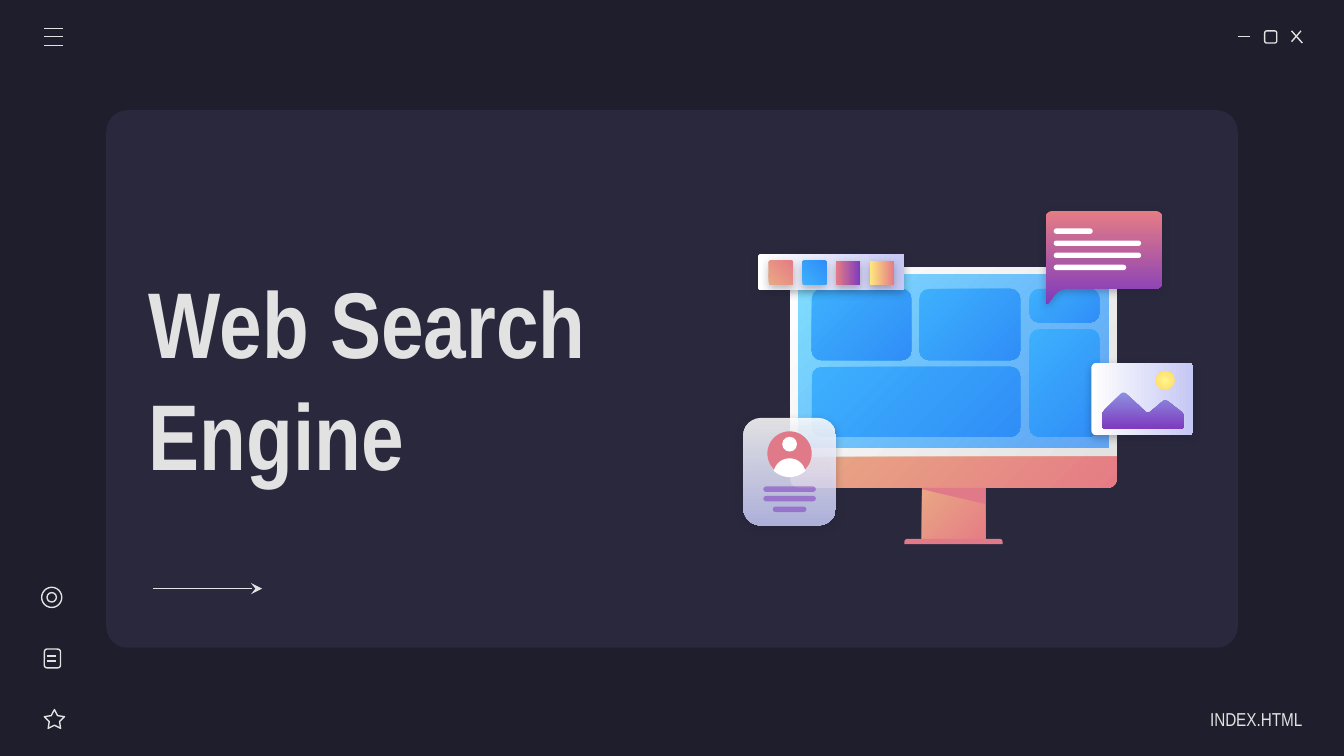
import math
from lxml import etree
from pptx import Presentation
from pptx import util as u
from pptx.dml.color import RGBColor
from pptx.enum import shapes, text
from pptx.oxml import ns


class Theme:
    font = "Arial Narrow"
    title, caption, stroke = 50, 10, 0.75
    back, panel, light = "1E1E2C", "29283D", "E2E2E2"
    white, rose, purple = "FFFFFF", "E07A88", "7E3BBE"
    peach = ("E9A984", "E57C85")
    blue = ("3DB0FD", "308EF7")
    screen = ("80DFFF", "318FFA")
    frame = ("FFFFFF", "E2E2E2")
    berry = ("E57C85", "7E3BBE")
    lilac = ("FFFFFF", "C5C7F4")
    hill = ("8D90E1", "7E3BBE")
    sunny = ("FFEA7D", "E57C85")
    sun = ("FFF68E", "FFD966")


prs = Presentation()
prs.slide_width = u.Inches(10)
prs.slide_height = prs.slide_width * 9 // 16
s = prs.slides.add_slide(prs.slide_layouts[6])
s.background.fill.solid()
s.background.fill.fore_color.rgb = RGBColor.from_string(Theme.back)
kind = shapes.MSO_SHAPE
ROUND, TOP, OVAL, RECT = kind.ROUNDED_RECTANGLE, kind.ROUND_2_SAME_RECTANGLE, kind.OVAL, kind.RECTANGLE


def paint(sp, fill, angle=0, alphas=(), shadow=False):
    sp.line.fill.background()
    sp.shadow.inherit = False
    if isinstance(fill, tuple):
        sp.fill.gradient()
        sp.fill.gradient_angle = -angle % 360
        for stop, color in zip(sp.fill.gradient_stops, fill):
            stop.color.rgb = RGBColor.from_string(color)
    else:
        sp.fill.solid()
        sp.fill.fore_color.rgb = RGBColor.from_string(fill)
    spPr = sp._element.spPr
    for color, alpha in zip(spPr.findall(".//" + ns.qn("a:srgbClr")), alphas):
        etree.SubElement(color, ns.qn("a:alpha"), val=str(alpha * 1000))
    if shadow:
        outer = etree.SubElement(spPr.find(ns.qn("a:effectLst")), ns.qn("a:outerShdw"), blurRad="57150",
                                 dist="19050", dir="5400000", algn="bl", rotWithShape="0")
        color = etree.SubElement(outer, ns.qn("a:srgbClr"), val=Theme.back)
        etree.SubElement(color, ns.qn("a:alpha"), val="30000")
    return sp


def outline(points, radius=0):
    path = []
    for i, (x, y) in enumerate(points):
        ends = []
        for px, py in (points[i - 1], points[(i + 1) % len(points)]):
            d = math.dist((x, y), (px, py))
            k = min(radius, d / 2) / d
            ends.append((x + (px - x) * k, y + (py - y) * k))
        (ax, ay), (bx, by) = ends
        for t in [n / 8 for n in range(9)] if radius else [0]:
            path.append((u.Inches((1 - t) ** 2 * ax + 2 * t * (1 - t) * x + t * t * bx),
                         u.Inches((1 - t) ** 2 * ay + 2 * t * (1 - t) * y + t * t * by)))
    fb = s.shapes.build_freeform(*path[0])
    fb.add_line_segments(path[1:])
    return fb.convert_to_shape()


monitor = [
    (ROUND, (0.79, 0.82, 8.42, 4), 0.16, Theme.panel, ()),
    (RECT, (6.86, 3.61, 0.47, 0.43), 0, Theme.peach, ()),
    (TOP, (6.73, 4.01, 0.73, 0.04), 0.02, Theme.rose, ()),
    (TOP, (5.88, 1.99, 2.43, 1.41), 0.06, Theme.frame, ()),
    (RECT, (5.94, 2.04, 2.31, 1.29), 0, Theme.screen, (100, 72)),
]
tiles = [(6.04, 2.15, 0.74, 0.53), (6.84, 2.15, 0.75, 0.53), (6.04, 2.73, 1.55, 0.52),
         (7.66, 2.15, 0.52, 0.25), (7.66, 2.45, 0.52, 0.8)]
monitor += [(ROUND, box, 0.07, Theme.blue, ()) for box in tiles]
for shape, box, radius, fill, alphas in monitor:
    sp = s.shapes.add_shape(shape, *map(u.Inches, box))
    if radius:
        sp.adjustments[0] = radius / min(box[2:])
    paint(sp, fill, 45, alphas)

sp = s.shapes.add_shape(TOP, *map(u.Inches, (5.88, 3.4, 2.43, 0.23)))
sp.adjustments[0], sp.adjustments[1] = 0, 0.28
paint(sp, Theme.peach, 45)
paint(outline([(6.86, 3.63), (6.86, 3.64), (7.33, 3.75), (7.33, 3.63)]), Theme.rose)

bubble = [(7.78, 1.57), (8.65, 1.57), (8.65, 2.15), (7.88, 2.15), (7.79, 2.27), (7.78, 2.26)]
paint(outline(bubble, 0.06), Theme.berry, 90, shadow=True)
for i, width in enumerate((0.29, 0.65, 0.65, 0.54)):
    sp = s.shapes.add_shape(ROUND, *map(u.Inches, (7.84, 1.7 + i * 0.09, width, 0.04)))
    sp.adjustments[0] = 0.5
    paint(sp, Theme.white)

sp = s.shapes.add_shape(ROUND, *map(u.Inches, (5.53, 3.11, 0.69, 0.8)))
sp.adjustments[0] = 0.19
paint(sp, Theme.lilac, 90, (86, 86), True)
for box, fill in (((5.71, 3.21, 0.33, 0.33), Theme.rose), ((5.82, 3.25, 0.11, 0.11), Theme.white)):
    paint(s.shapes.add_shape(OVAL, *map(u.Inches, box)), fill)
body = []
for cy, radius, start, stop in ((3.53, 0.12, 195, 345), (3.38, 0.17, 45, 135)):
    for a in range(start, stop + 1, 10):
        body.append((5.875 + radius * math.cos(math.radians(a)), cy + radius * math.sin(math.radians(a))))
paint(outline(body), Theme.white)
for x, y, width in ((5.68, 3.62, 0.39), (5.68, 3.69, 0.39), (5.75, 3.77, 0.25)):
    sp = s.shapes.add_shape(ROUND, *map(u.Inches, (x, y, width, 0.04)))
    sp.adjustments[0] = 0.5
    paint(sp, Theme.purple, alphas=(54,))

cards = [((8.12, 2.7, 0.76, 0.54), Theme.lilac, 0), ((5.64, 1.89, 1.09, 0.27), Theme.lilac, 0)]
swatches = ((Theme.peach, 315), (Theme.blue, 315), (Theme.berry, 0), (Theme.sunny, 0))
cards += [((5.72 + i * 0.25, 1.94, 0.18, 0.18), *swatch) for i, swatch in enumerate(swatches)]
for box, fill, angle in cards:
    sp = s.shapes.add_shape(ROUND, *map(u.Inches, box))
    sp.adjustments[0] = 0.07
    paint(sp, fill, angle, shadow=True)

hills = [(8.2, 3.07), (8.36, 2.91), (8.54, 3.08), (8.67, 2.97), (8.81, 3.08), (8.81, 3.19), (8.2, 3.19)]
paint(outline(hills, 0.03), Theme.hill, 90)
sp = paint(s.shapes.add_shape(OVAL, *map(u.Inches, (8.6, 2.76, 0.14, 0.14))), Theme.sun)
grad = sp._element.spPr.find(ns.qn("a:gradFill"))
grad.remove(grad.find(ns.qn("a:lin")))
radial = etree.SubElement(grad, ns.qn("a:path"), path="circle")
etree.SubElement(radial, ns.qn("a:fillToRect"), l="50000", t="50000", r="50000", b="50000")

icons = [
    (ROUND, (9.41, 0.23, 0.09, 0.09)),
    (kind.STAR_5_POINT, (0.33, 5.28, 0.15, 0.14)),
    (ROUND, (0.33, 4.83, 0.12, 0.14)),
    (OVAL, (0.31, 4.37, 0.15, 0.15)),
    (OVAL, (0.35, 4.41, 0.07, 0.07)),
]
for shape, box in icons:
    sp = s.shapes.add_shape(shape, *map(u.Inches, box))
    if shape == kind.STAR_5_POINT:
        sp.adjustments[0] = 0.254
    sp.shadow.inherit = False
    sp.fill.background()
    sp.line.color.rgb = RGBColor.from_string(Theme.light)
    sp.line.width = u.Pt(Theme.stroke)

lines = [(0.33, y, 0.47, y) for y in (0.21, 0.27, 0.34)]
lines += [(0.35, y, 0.42, y) for y in (4.88, 4.92)]
lines += [(9.21, 0.27, 9.3, 0.27), (9.61, 0.23, 9.69, 0.32), (9.68, 0.23, 9.61, 0.31), (1.14, 4.38, 1.95, 4.38)]
for ends in lines:
    c = s.shapes.add_connector(shapes.MSO_CONNECTOR.STRAIGHT, *map(u.Inches, ends))
    c.line.color.rgb = RGBColor.from_string(Theme.light)
    c.line.width = u.Pt(Theme.stroke)
    etree.SubElement(c._element.spPr, ns.qn("a:effectLst"))
etree.SubElement(c._element.spPr.find(ns.qn("a:ln")), ns.qn("a:tailEnd"), type="stealth", w="med", len="med")

labels = [
    ("Web Search Engine", (1.01, 1.93, 4.47, 1.76), Theme.title, True, text.PP_ALIGN.LEFT, 0.1),
    ("INDEX.HTML", (8.52, 5.2, 1.17, 0.3), Theme.caption, False, text.PP_ALIGN.RIGHT, 0),
]
for words, box, size, bold, align, right in labels:
    tf = s.shapes.add_textbox(*map(u.Inches, box)).text_frame
    tf.word_wrap = True
    tf.vertical_anchor = text.MSO_ANCHOR.MIDDLE
    tf.margin_left = tf.margin_top = tf.margin_bottom = u.Inches(0.1)
    tf.margin_right = u.Inches(right)
    tf.text = words
    p = tf.paragraphs[0]
    p.alignment = align
    r = p.runs[0]
    r.font.name, r.font.size, r.font.bold = Theme.font, u.Pt(size), bold
    r.font.color.rgb = RGBColor.from_string(Theme.light)

prs.save("out.pptx")
